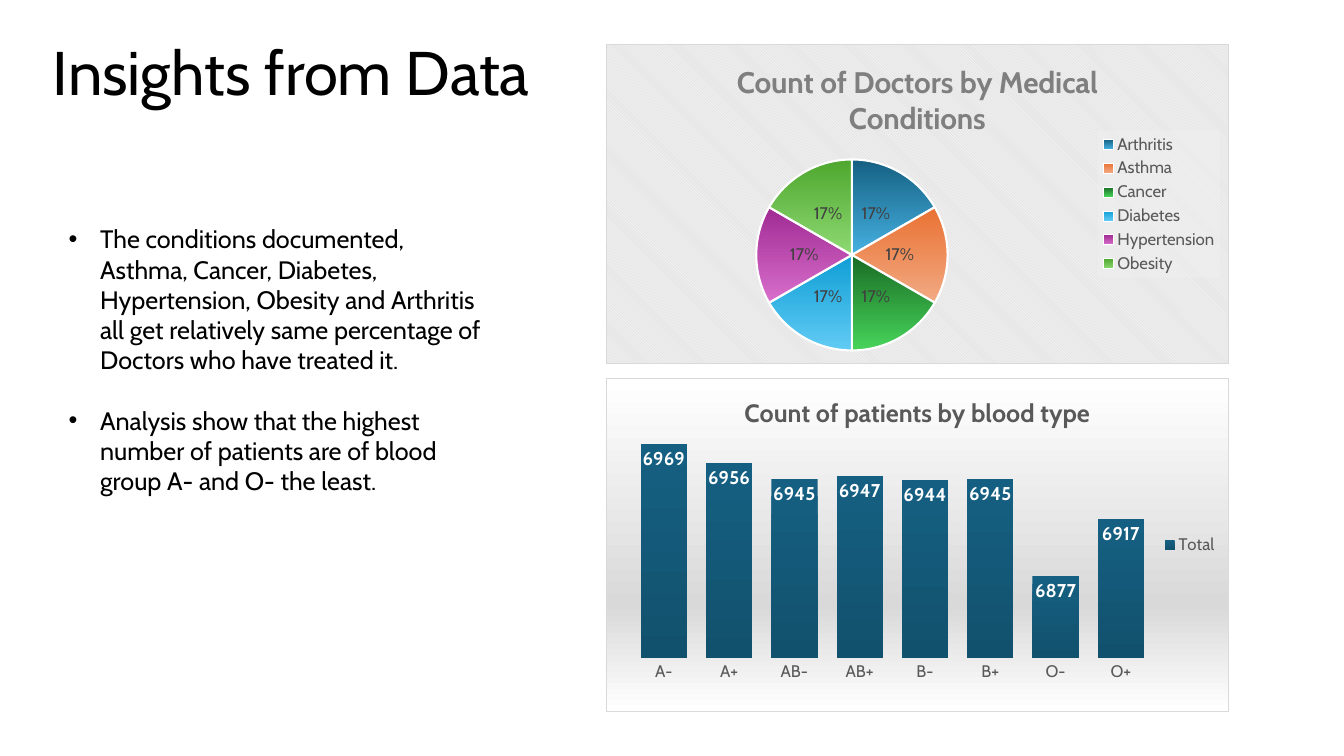
import lxml.etree
import pptx
import pptx.chart.data
import pptx.dml.color
import pptx.enum.chart
import pptx.enum.text
import pptx.oxml
import pptx.oxml.ns
import pptx.util

Pt = pptx.util.Pt
RGBColor = pptx.dml.color.RGBColor
ChartType = pptx.enum.chart.XL_CHART_TYPE
LabelPosition = pptx.enum.chart.XL_LABEL_POSITION
qn = pptx.oxml.ns.qn

FONT = "Cabin"
BLACK = RGBColor(0x00, 0x00, 0x00)
WHITE = RGBColor(0xFF, 0xFF, 0xFF)
DARK_GREY = RGBColor(0x40, 0x40, 0x40)
TEXT_GREY = RGBColor(0x59, 0x59, 0x59)
TITLE_GREY = RGBColor(0x7F, 0x7F, 0x7F)
BORDER_GREY = RGBColor(0xD9, 0xD9, 0xD9)
PATTERN_GREY = RGBColor(0xE6, 0xE6, 0xE6)
LEGEND_GREY = RGBColor(0xF2, 0xF2, 0xF2)
BLUE = RGBColor(0x15, 0x60, 0x82)
DEEP_BLUE = RGBColor(0x12, 0x51, 0x6D)

# Each condition with the top and bottom colour of its slice
CONDITIONS = {
    "Arthritis": (BLUE, RGBColor(0x46, 0xB1, 0xE1)),
    "Asthma": (RGBColor(0xE9, 0x71, 0x32), RGBColor(0xF2, 0xAA, 0x84)),
    "Cancer": (RGBColor(0x19, 0x6B, 0x24), RGBColor(0x47, 0xD4, 0x5A)),
    "Diabetes": (RGBColor(0x0F, 0x9E, 0xD5), RGBColor(0x61, 0xCB, 0xF4)),
    "Hypertension": (RGBColor(0xA0, 0x2B, 0x93), RGBColor(0xD8, 0x6E, 0xCC)),
    "Obesity": (RGBColor(0x4E, 0xA7, 0x2E), RGBColor(0x8E, 0xD9, 0x73)),
}
BLOOD_TYPES = {"A-": 6969, "A+": 6956, "AB-": 6945, "AB+": 6947,
               "B-": 6944, "B+": 6945, "O-": 6877, "O+": 6917}
FINDINGS = [
    "The conditions documented, Asthma, Cancer, Diabetes, Hypertension, Obesity "
    "and Arthritis all get relatively same percentage of Doctors who have treated it.",
    "Analysis show that the highest number of patients are of blood group A- "
    "and O- the least.",
]

CHART_LEFT, CHART_WIDTH = 432.7, 445
BULLET_INDENT = 22.5


def set_font(font, size, color, bold=False):
    font.name = FONT
    font.size = Pt(size)
    font.bold = bold
    font.color.rgb = color


def place(shape, left, top, width, height):
    shape.left, shape.top = Pt(left), Pt(top)
    shape.width, shape.height = Pt(width), Pt(height)


def fill_downwards(fill, top_color, bottom_color):
    fill.gradient()
    fill.gradient_angle = 270
    for stop, color in zip(fill.gradient_stops, (top_color, bottom_color)):
        stop.color.rgb = color


def shape_properties(content):
    return pptx.oxml.parse_xml(
        f'<c:spPr {pptx.oxml.ns.nsdecls("c", "a")}>{content}</c:spPr>')


def color_xml(color, inner=""):
    return f'<a:srgbClr val="{color}">{inner}</a:srgbClr>'


def pattern_xml(preset, front, back):
    return (f'<a:pattFill prst="{preset}"><a:fgClr>{color_xml(front)}</a:fgClr>'
            f'<a:bgClr>{color_xml(back)}</a:bgClr></a:pattFill>')


def gradient_xml(stops):
    marks = "".join(f'<a:gs pos="{percent * 1000}">{color_xml(color)}</a:gs>'
                    for percent, color in stops)
    return (f'<a:gradFill><a:gsLst>{marks}</a:gsLst>'
            '<a:lin ang="5400000" scaled="0"/></a:gradFill>')


def set_plot_layout(chart, *fractions):
    """Fix the inner plot area: left, top, width, height as shares of the chart."""
    plot_area = chart.element.find(".//" + qn("c:plotArea"))
    layout = plot_area.find(qn("c:layout"))
    if layout is None:
        layout = lxml.etree.Element(qn("c:layout"))
        plot_area.insert(0, layout)
    manual = lxml.etree.SubElement(layout, qn("c:manualLayout"))
    settings = [("layoutTarget", "inner"), ("xMode", "edge"), ("yMode", "edge")]
    settings += zip("xywh", map(str, fractions))
    for name, value in settings:
        lxml.etree.SubElement(manual, qn("c:" + name)).set("val", value)


def add_chart(page, kind, top, height, series_name, values, title, title_size,
              title_color, background):
    data = pptx.chart.data.CategoryChartData()
    data.categories = list(values)
    data.add_series(series_name, list(values.values()))
    chart = page.shapes.add_chart(kind, Pt(CHART_LEFT), Pt(top), Pt(CHART_WIDTH),
                                  Pt(height), data).chart
    set_font(chart.font, 10, BLACK)

    # Title
    chart.has_title = True
    para = chart.chart_title.text_frame.paragraphs[0]
    para.text = title
    set_font(para.font, title_size, title_color, bold=True)

    # Legend
    chart.has_legend = True
    chart.legend.position = pptx.enum.chart.XL_LEGEND_POSITION.RIGHT
    chart.legend.include_in_layout = False
    set_font(chart.legend.font, 12, TEXT_GREY)

    # Background and border
    border = f'<a:ln w="9525"><a:solidFill>{color_xml(BORDER_GREY)}</a:solidFill></a:ln>'
    chart.element.find(qn("c:chart")).addnext(shape_properties(background + border))
    return chart


def add_labels(series, position, size, color, bold=False):
    labels = series.data_labels
    labels.position = position
    set_font(labels.font, size, color, bold)
    return labels


def add_conditions_chart(page):
    chart = add_chart(page, ChartType.PIE, 31.7, 228.2, "Series 1",
                      dict.fromkeys(CONDITIONS, 17),
                      "Count of Doctors by Medical Conditions", 21.3, TITLE_GREY,
                      pattern_xml("dkDnDiag", WHITE, PATTERN_GREY))
    set_plot_layout(chart, 0.24, 0.36, 0.31, 0.6)
    chart.plots[0].vary_by_categories = True
    series = chart.plots[0].series[0]
    for index, colors in enumerate(CONDITIONS.values()):
        slice_format = series.points[index].format
        fill_downwards(slice_format.fill, *colors)
        slice_format.line.color.rgb = WHITE
        slice_format.line.width = Pt(1.5)
    labels = add_labels(series, LabelPosition.CENTER, 12, DARK_GREY)
    labels.show_percentage = True
    labels.show_value = False
    labels.number_format = "0%"
    labels.number_format_is_linked = False

    # Translucent legend panel
    panel = color_xml(LEGEND_GREY, '<a:alpha val="39000"/>')
    legend = chart.element.find(".//" + qn("c:legend"))
    legend.find(qn("c:txPr")).addprevious(
        shape_properties(f"<a:solidFill>{panel}</a:solidFill>"))


def add_blood_type_chart(page):
    chart = add_chart(page, ChartType.COLUMN_CLUSTERED, 270, 238.3, "Total", BLOOD_TYPES,
                      "Count of patients by blood type", 18, TEXT_GREY,
                      gradient_xml([(0, WHITE), (68, BORDER_GREY), (100, WHITE)]))
    set_plot_layout(chart, 0.04, 0.15, 0.84, 0.69)
    plot = chart.plots[0]
    plot.vary_by_categories = False
    plot.gap_width = 41
    series = plot.series[0]
    series.invert_if_negative = False
    fill_downwards(series.format.fill, BLUE, DEEP_BLUE)
    add_labels(series, LabelPosition.INSIDE_END, 13.3, WHITE, bold=True).show_value = True

    # Axes
    values = chart.value_axis
    values.minimum_scale, values.maximum_scale = 6820, 6980
    values.has_major_gridlines = False
    values.visible = False
    groups = chart.category_axis
    groups.major_tick_mark = pptx.enum.chart.XL_TICK_MARK.NONE
    groups.format.line.fill.background()
    set_font(groups.tick_labels.font, 12, TEXT_GREY)


def fill_title(box):
    place(box, 0, 18.7, 416.2, 70.6)
    frame = box.text_frame
    frame.text = "Insights from Data"
    frame.auto_size = pptx.enum.text.MSO_AUTO_SIZE.NONE
    frame.vertical_anchor = pptx.enum.text.MSO_ANCHOR.MIDDLE
    para = frame.paragraphs[0]
    para.alignment = pptx.enum.text.PP_ALIGN.CENTER
    para.line_spacing = 0.9
    set_font(para.font, 44, BLACK)


def fill_findings(box):
    place(box, 41.8, 156.2, 312.5, 203.8)
    frame = box.text_frame
    frame.text = "\n".join(FINDINGS)
    frame.auto_size = pptx.enum.text.MSO_AUTO_SIZE.SHAPE_TO_FIT_TEXT
    for index, para in enumerate(frame.paragraphs):
        properties = para._p.get_or_add_pPr()
        properties.set("marL", str(Pt(BULLET_INDENT)))
        properties.set("indent", str(-Pt(BULLET_INDENT)))
        lxml.etree.SubElement(properties, qn("a:buFont")).set("typeface", "Arial")
        lxml.etree.SubElement(properties, qn("a:buChar")).set("char", "•")
        para.space_before = Pt(21.6 if index else 0)
        set_font(para.font, 18, BLACK)


def main():
    deck = pptx.Presentation()
    deck.slide_width, deck.slide_height = Pt(960), Pt(540)
    page = deck.slides.add_slide(deck.slide_layouts[1])
    fill_title(page.shapes.title)
    fill_findings(page.placeholders[1])
    add_conditions_chart(page)
    add_blood_type_chart(page)
    deck.save("out.pptx")


if __name__ == "__main__":
    main()
